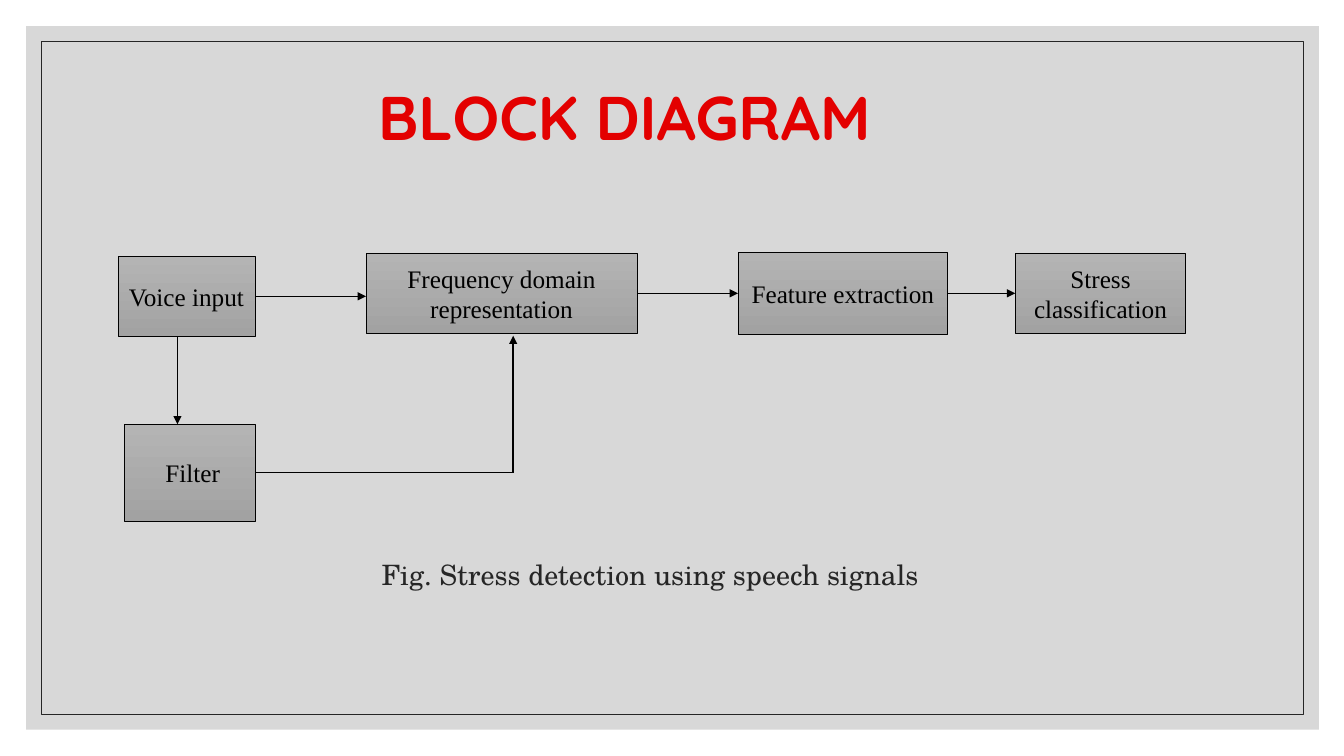
from lxml import etree
from pptx import Presentation
from pptx.dml.color import RGBColor
from pptx.enum import shapes, text
from pptx.oxml import ns
from pptx.util import Inches, Pt

COLORS = {
    "panel": "D8D8D8",
    "frame": "262626",
    "box_top": "B4B4B4",
    "box_bottom": "A2A2A2",
    "line": "000000",
    "heading": "E30000",
    "caption": "262626",
}


def rgb(name):
    return RGBColor.from_string(COLORS[name])


def set_text(shape, words, font, size, color, align, bold=False):
    tf = shape.text_frame
    tf.word_wrap = True
    tf.vertical_anchor = text.MSO_ANCHOR.MIDDLE
    tf.text = words
    p = tf.paragraphs[0]
    p.alignment = align
    f = p.runs[0].font
    f.name, f.size, f.bold = font, Pt(size), bold
    f.color.rgb = rgb(color)


prs = Presentation()
prs.slide_width, prs.slide_height = Inches(13.33), Inches(7.5)
s = prs.slides.add_slide(prs.slide_layouts[5])
center = text.PP_ALIGN.CENTER

panel = s.shapes.add_shape(shapes.MSO_SHAPE.RECTANGLE, Inches(0.26), Inches(0.26), Inches(12.82), Inches(6.98))
panel.shadow.inherit = False
panel.fill.solid()
panel.fill.fore_color.rgb = rgb("panel")
panel.line.fill.background()

frame = s.shapes.add_shape(shapes.MSO_SHAPE.RECTANGLE, Inches(0.41), Inches(0.41), Inches(12.52), Inches(6.68))
frame.shadow.inherit = False
frame.fill.background()
frame.line.color.rgb = rgb("frame")
frame.line.width = Pt(0.5)

title = s.shapes.title
title.left, title.top, title.width, title.height = Inches(3.65), Inches(0.73), Inches(5.7), Inches(0.84)
set_text(title, "BLOCK DIAGRAM", "Quicksand", 44, "heading", text.PP_ALIGN.LEFT, True)
title.text_frame.auto_size = text.MSO_AUTO_SIZE.NONE
s.shapes._spTree.append(title._element)

caption = s.shapes.add_textbox(Inches(0.95), Inches(5.32), Inches(11), Inches(0.75))
set_text(caption, "Fig. Stress detection using speech signals", "TeX Gyre Schola", 20, "caption", center)

blocks = {}
for key, words, x, y, w, h in [
    ("voice", "Voice input", 1.17, 2.54, 1.36, 0.8),
    ("filter", " Filter", 1.23, 4.21, 1.3, 0.96),
    ("frequency", "Frequency domain representation", 3.63, 2.51, 2.69, 0.8),
    ("feature", "Feature extraction", 7.32, 2.5, 2.08, 0.82),
    ("stress", "Stress classification", 10.07, 2.51, 1.69, 0.8),
]:
    sp = s.shapes.add_shape(shapes.MSO_SHAPE.RECTANGLE, Inches(x), Inches(y), Inches(w), Inches(h))
    sp.shadow.inherit = False
    sp.fill.gradient()
    sp.fill.gradient_angle = 270
    for stop, color, position in zip(sp.fill.gradient_stops, ("box_top", "box_bottom"), (0, 1)):
        stop.color.rgb = rgb(color)
        stop.position = position
    sp.line.color.rgb = rgb("line")
    sp.line.width = Pt(0.5)
    set_text(sp, words, "Times New Roman", 18, "line", center)
    blocks[key] = sp

for x1, y1, x2, y2, start, end, arrow in [
    (1.76, 3.34, 1.76, 4.21, None, None, True),
    (2.53, 2.94, 3.63, 2.94, "voice", None, True),
    (2.53, 4.69, 5.09, 4.69, "filter", None, False),
    (5.09, 4.69, 5.09, 3.33, None, None, True),
    (6.32, 2.91, 7.32, 2.91, "frequency", "feature", True),
    (9.4, 2.91, 10.07, 2.91, "feature", "stress", True),
]:
    c = s.shapes.add_connector(shapes.MSO_CONNECTOR.STRAIGHT, Inches(x1), Inches(y1), Inches(x2), Inches(y2))
    if start:
        c.begin_connect(blocks[start], 3)
    if end:
        c.end_connect(blocks[end], 1)
    c.line.color.rgb = rgb("line")
    c.line.width = Pt(1)
    if arrow:
        etree.SubElement(c.line._get_or_add_ln(), ns.qn("a:tailEnd"), type="triangle")
    etree.SubElement(c._element.spPr, ns.qn("a:effectLst"))

prs.save("out.pptx")
